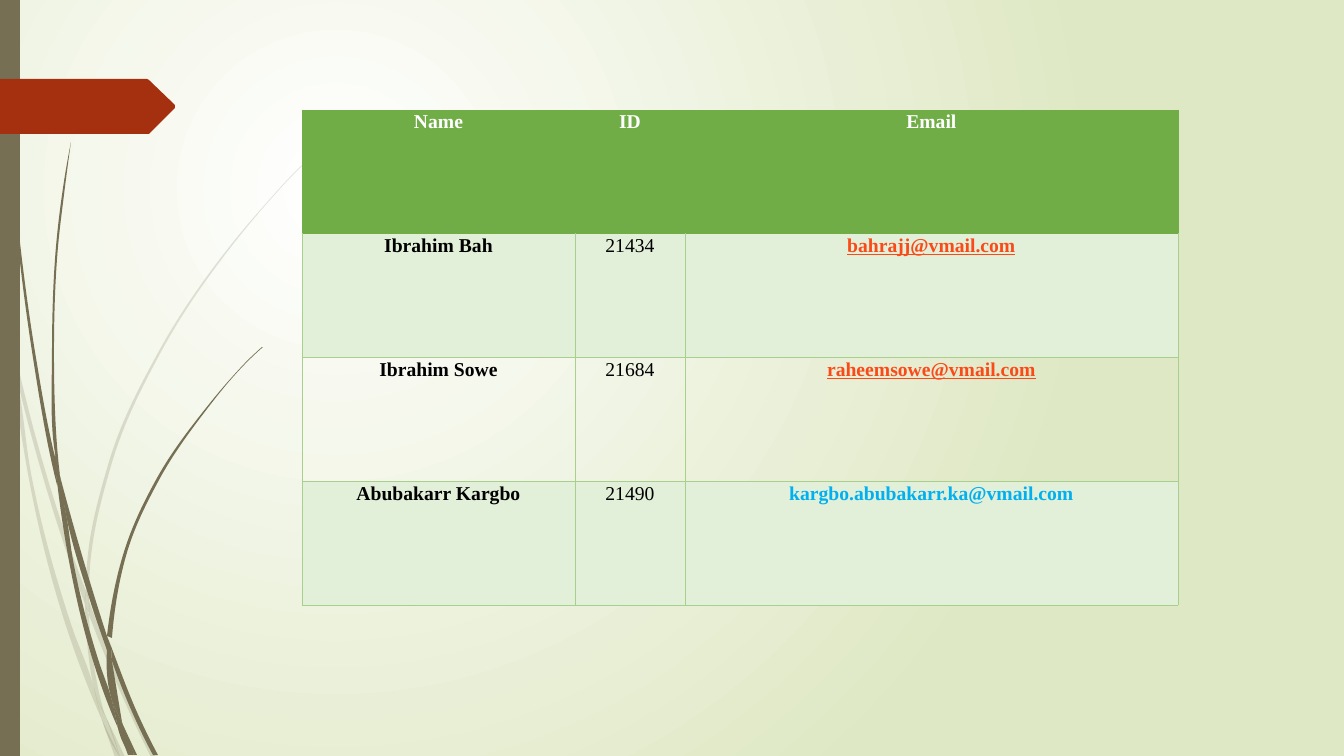
from typing import NamedTuple

from lxml.etree import SubElement
from pptx import Presentation
from pptx.dml.color import RGBColor
from pptx.enum.shapes import MSO_SHAPE
from pptx.enum.text import PP_ALIGN
from pptx.oxml.ns import qn
from pptx.util import Emu, Pt

SCALE = 914400 / 100.8
WIDTH, HEIGHT = 1344, 756
FONT = "Times New Roman"

WHITE = RGBColor(0xFF, 0xFF, 0xFF)
BLACK = RGBColor(0, 0, 0)
PALE_GREEN = RGBColor(0xDF, 0xE8, 0xC4)
BROWN = RGBColor(0x76, 0x6F, 0x54)
RUST = RGBColor(0xA5, 0x30, 0x10)
GREEN = RGBColor(0x70, 0xAD, 0x47)
BAND = RGBColor(0xE2, 0xEF, 0xD9)
RULE = RGBColor(0xA8, 0xD0, 0x8D)
ORANGE = RGBColor(0xFB, 0x4A, 0x18)
BLUE = RGBColor(0x00, 0xB0, 0xF0)

Point = tuple[float, float]


class Blade(NamedTuple):
    """One piece of grass: a curved edge going out and one coming back."""
    out: list[Point]
    back: list[Point]


class Member(NamedTuple):
    name: str
    number: str
    email: str
    email_color: RGBColor
    underlined: bool
    fill: RGBColor | None


PALE_GRASS = [
    Blade([(11, 353), (9, 325), (0, 284)], [(0, 301), (10, 347), (11, 353)]),
    Blade([(17, 379), (58, 526), (85, 604)], [(86, 591), (62, 524), (14, 348)]),
    Blade([(89, 615), (124, 700), (151, 757)],
          [(156, 757), (128, 698), (93, 612), (89, 601)]),
    Blade([(106, 717), (120, 757)], [(125, 757), (106, 717)]),
    Blade([(11, 353), (28, 474), (66, 626), (93, 699), (102, 720)],
          [(100, 713), (94, 688), (71, 624), (31, 473), (17, 379), (11, 353)]),
    Blade([(85, 604), (88, 651), (94, 688), (97, 698), (106, 717)],
          [(104, 712), (92, 651), (89, 615)]),
    Blade([(89, 601), (89, 589), (111, 466), (161, 352), (231, 247),
           (270, 200), (292, 176), (314, 155)],
          [(314, 154), (291, 176), (270, 199), (230, 246), (159, 351),
           (108, 465), (86, 589), (86, 591)]),
    Blade([(102, 720), (115, 757)], [(120, 757), (102, 720)]),
    Blade([(86, 591), (85, 604), (89, 613)], [(89, 615), (89, 601), (86, 591)]),
    Blade([(94, 688), (100, 713), (102, 720), (120, 757)],
          [(120, 757), (106, 717), (97, 698), (94, 688)]),
]
DARK_GRASS = [
    Blade([(3, 0), (4, 48), (7, 111), (17, 235), (33, 358), (56, 481), (57, 485)],
          [(56, 461), (55, 457), (36, 358), (19, 234), (8, 110), (5, 48), (4, 0)]),
    Blade([(60, 476), (65, 509), (89, 597), (107, 650)],
          [(107, 636), (94, 595), (60, 476)]),
    Blade([(112, 661), (133, 714), (153, 755)],
          [(158, 755), (137, 712), (114, 654), (111, 646)]),
    Blade([(57, 481), (69, 561), (94, 664), (112, 714), (118, 728)],
          [(117, 723), (111, 697), (99, 662), (73, 560), (65, 509), (57, 481)]),
    Blade([(71, 142), (62, 195), (56, 247), (52, 352), (55, 453), (60, 476)],
          [(60, 476), (58, 457), (54, 352), (58, 247), (64, 195), (71, 142)]),
    Blade([(123, 725), (134, 755)], [(137, 755), (123, 725)]),
    Blade([(55, 453), (55, 457), (57, 481), (65, 509)],
          [(65, 509), (60, 476), (55, 453)]),
    Blade([(112, 638), (126, 556), (159, 480), (207, 409), (233, 377),
           (247, 362), (263, 347)],
          [(262, 347), (247, 361), (233, 376), (206, 408), (157, 478),
           (123, 555), (107, 636)]),
    Blade([(118, 728), (128, 755)], [(132, 755), (118, 728)]),
    Blade([(107, 650), (111, 697), (117, 712), (123, 725)],
          [(122, 722), (112, 661)]),
    Blade([(107, 636), (107, 650), (112, 661)], [(111, 646), (107, 636)]),
    Blade([(111, 697), (117, 723), (118, 728), (131, 755)],
          [(134, 755), (123, 725), (117, 712), (111, 697)]),
]
RIBBON = [(0, 79), (147, 79), (149, 80), (175, 105), (175, 108),
          (149, 134), (147, 134), (0, 134)]

HEADINGS = ["Name", "ID", "Email"]
COLUMNS = [273, 110, 493]
TABLE_HEIGHT = 495
MEMBERS = [
    Member("Ibrahim Bah", "21434", "bahrajj@vmail.com", ORANGE, True, BAND),
    Member("Ibrahim Sowe", "21684", "raheemsowe@vmail.com", ORANGE, True, None),
    Member("Abubakarr Kargbo", "21490", "kargbo.abubakarr.ka@vmail.com",
           BLUE, False, BAND),
]


def px(value: float) -> Emu:
    return Emu(round(value * SCALE))


def tangents(edge: list[Point]) -> list[tuple[Point, Point]]:
    """Start and end handle of each curve along an edge, relative to its ends."""
    gaps = [max(abs(x2 - x1) + abs(y2 - y1), 1)
            for (x1, y1), (x2, y2) in zip(edge, edge[1:])]
    chords = [((x2 - x1) / gap, (y2 - y1) / gap)
              for (x1, y1), (x2, y2), gap in zip(edge, edge[1:], gaps)]
    slopes = [tuple((s1 * g2 + s2 * g1) / (g1 + g2) for s1, s2 in zip(c1, c2))
              for c1, c2, g1, g2 in zip(chords, chords[1:], gaps, gaps[1:])]
    inner = slopes or chords
    first, last = (tuple(2 * c - m for c, m in zip(chords[i], inner[i])) for i in (0, -1))
    slopes = [first, *slopes, last]
    return [((mx * gap / 3, my * gap / 3), (-nx * gap / 3, -ny * gap / 3))
            for (mx, my), (nx, ny), gap in zip(slopes, slopes[1:], gaps)]


def paint(sp, color: RGBColor, opacity: int = 100) -> None:
    sp.shadow.inherit = False
    sp.fill.solid()
    sp.fill.fore_color.rgb = color
    sp.line.fill.background()
    if opacity < 100:
        clr = sp.element.spPr.find(".//" + qn("a:srgbClr"))
        SubElement(clr, qn("a:alpha"), val=str(opacity * 1000))


def add_outline(shapes, points: list[Point]):
    start, *rest = [(px(x), px(y)) for x, y in points]
    builder = shapes.build_freeform(*start)
    builder.add_line_segments(rest, close=True)
    return builder.convert_to_shape()


def add_blade(shapes, blade: Blade, opacity: int) -> None:
    sp = add_outline(shapes, blade.out + blade.back)
    handles = [*tangents(blade.out), None, *tangents(blade.back)]
    ends = [(int(pt.get("x")), int(pt.get("y"))) for pt in sp.element.iter(qn("a:pt"))]
    lines = list(sp.element.iter(qn("a:lnTo")))
    for line, handle, start, end in zip(lines, handles, ends, ends[1:]):
        if handle is None:
            continue
        line.tag = qn("a:cubicBezTo")
        for i, (anchor, (dx, dy)) in enumerate(zip((start, end), handle)):
            pt = SubElement(line, qn("a:pt"), x=str(anchor[0] + px(dx)),
                            y=str(anchor[1] + px(dy)))
            line.insert(i, pt)
    paint(sp, BROWN, opacity)


def set_borders(cell, left: RGBColor, right: RGBColor, top: RGBColor, bottom: RGBColor) -> None:
    tc_pr = cell._tc.get_or_add_tcPr()
    for side, color in zip("LRTB", (left, right, top, bottom)):
        ln = SubElement(tc_pr, qn(f"a:ln{side}"), w=str(Pt(0.5)))
        SubElement(SubElement(ln, qn("a:solidFill")), qn("a:srgbClr"), val=str(color))


def fill_cell(cell, text: str, color: RGBColor, fill: RGBColor | None,
              bold: bool = True, underlined: bool = False) -> None:
    cell.margin_left = cell.margin_right = px(7)
    cell.margin_top = cell.margin_bottom = 0
    if fill is None:
        cell.fill.background()
    else:
        cell.fill.solid()
        cell.fill.fore_color.rgb = fill
    p = cell.text_frame.paragraphs[0]
    p.text, p.alignment, p.line_spacing = text, PP_ALIGN.CENTER, 1.07
    p.font.name, p.font.size, p.font.bold = FONT, Pt(14), bold
    p.font.underline, p.font.color.rgb = underlined, color


prs = Presentation()
prs.slide_width, prs.slide_height = px(WIDTH), px(HEIGHT)
s = prs.slides.add_slide(prs.slide_layouts[6])

# Background glow, centred in the upper left
bg = s.background.fill
bg.gradient()
for stop, color in zip(bg.gradient_stops, (WHITE, PALE_GREEN)):
    stop.color.rgb = color
grad = s.element.find(".//" + qn("a:gradFill"))
grad.remove(grad.find(qn("a:lin")))
glow = SubElement(grad, qn("a:path"), path="circle")
SubElement(glow, qn("a:fillToRect"), l="50000", t="50000", r="100000", b="100000")

# Grass, side bar and ribbon
for blades, opacity in ((PALE_GRASS, 20), (DARK_GRASS, 100)):
    grass = s.shapes.add_group_shape()
    for blade in blades:
        add_blade(grass.shapes, blade, opacity)
paint(s.shapes.add_shape(MSO_SHAPE.RECTANGLE, 0, 0, px(20), px(HEIGHT)), BROWN)
paint(add_outline(s.shapes, RIBBON), RUST)

# Member table
table = s.shapes.add_table(len(MEMBERS) + 1, len(COLUMNS), px(302), px(110),
                           px(sum(COLUMNS)), px(TABLE_HEIGHT)).table
table.horz_banding = False
for column, width in zip(table.columns, COLUMNS):
    column.width = px(width)
for c, heading in enumerate(HEADINGS):
    set_borders(table.cell(0, c), GREEN, GREEN, GREEN, GREEN)
    fill_cell(table.cell(0, c), heading, WHITE, GREEN)
for r, member in enumerate(MEMBERS, 1):
    cells = [table.cell(r, c) for c in range(len(COLUMNS))]
    for cell in cells:
        set_borders(cell, RULE, RULE, GREEN if r == 1 else RULE, RULE)
    fill_cell(cells[0], member.name, BLACK, member.fill)
    fill_cell(cells[1], member.number, BLACK, member.fill, bold=False)
    fill_cell(cells[2], member.email, member.email_color, member.fill,
              underlined=member.underlined)

prs.save("out.pptx")
